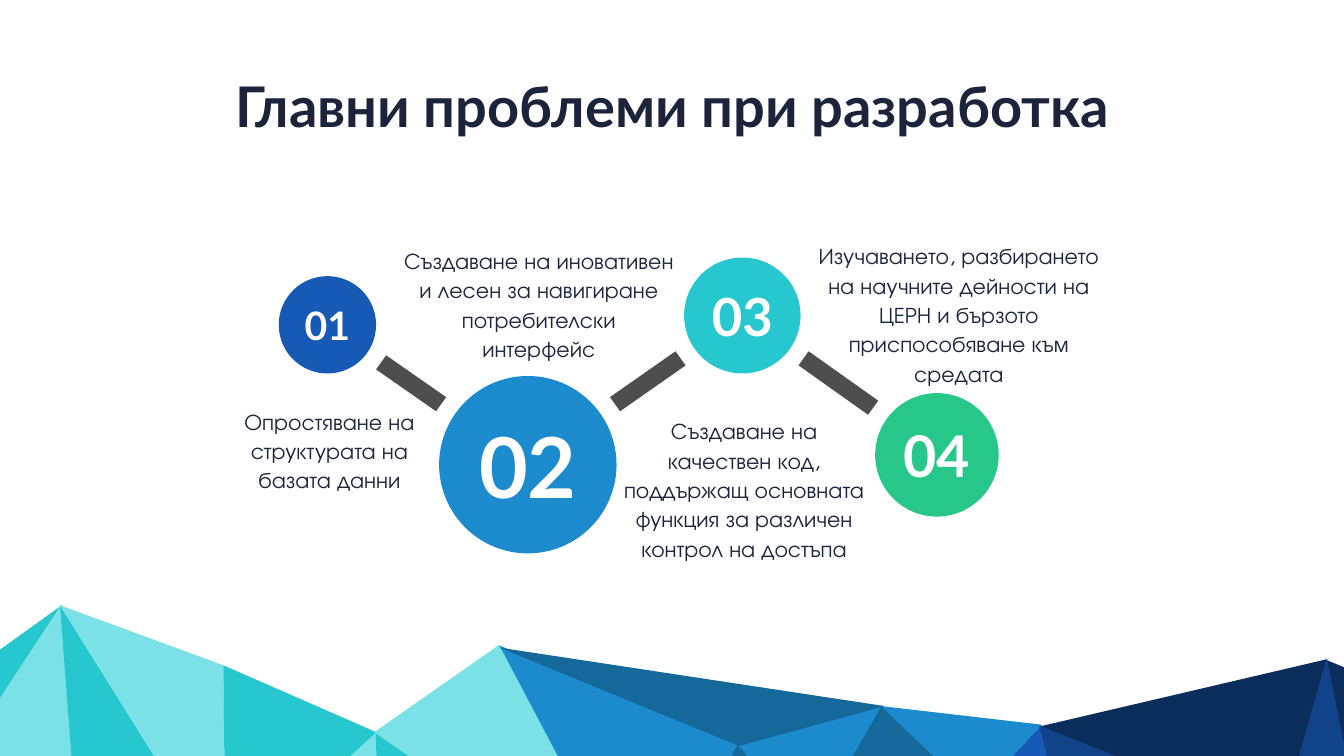
from pptx import Presentation
from pptx.dml.color import RGBColor
from pptx.enum.shapes import MSO_SHAPE
from pptx.enum.text import MSO_ANCHOR, PP_ALIGN
from pptx.util import Pt

EMU_PER_PX = 9144
SLIDE_WIDTH, SLIDE_HEIGHT = 2666, 1500

INK = RGBColor(0x1B, 0x24, 0x3B)
WHITE = RGBColor(0xFF, 0xFF, 0xFF)
GREY = RGBColor(0x4E, 0x4E, 0x4E)
TEAL = RGBColor(0x27, 0xC7, 0xCF)
PALE_TEAL = RGBColor(0x7A, 0xE1, 0xE6)
SKY = RGBColor(0x1B, 0x8B, 0xCD)
DEEP_SKY = RGBColor(0x14, 0x68, 0x9A)
BLUE = RGBColor(0x16, 0x5A, 0xB6)
DEEP_BLUE = RGBColor(0x10, 0x43, 0x89)
NAVY = RGBColor(0x0B, 0x2D, 0x5B)
GREEN = RGBColor(0x27, 0xC7, 0x8A)

TITLE_FONT = "Lato"
BODY_FONT = "TeX Gyre Adventor"

FACETS = [
    (TEAL, [(124, 0), (0, 89), (0, 188)]),
    (PALE_TEAL, [(157, 464), (121, 1), (-2, 188), (-2, 464)]),
    (TEAL, [(408, 464), (119, 1), (154, 464)]),
    (PALE_TEAL, [(447, 464), (443, 120), (119, 1), (408, 464)]),
    (TEAL, [(518, 464), (747, 253), (443, 120), (447, 464)]),
    (PALE_TEAL, [(755, 464), (747, 253), (518, 464)]),
    (TEAL, [(1052, 464), (745, 253), (753, 464)]),
    (PALE_TEAL, [(1194, 464), (991, 79), (742, 253), (1049, 464)]),
    (SKY, [(1362, 466), (1466, 276), (991, 81), (1194, 466)]),
    (SKY, [(1461, 279), (1610, 447), (1751, 200)]),
    (DEEP_SKY, [(1608, 447), (1935, 380), (1749, 200)]),
    (SKY, [(1748, 201), (1934, 380), (2067, 238)]),
    (BLUE, [(2124, 471), (2065, 240), (1931, 383), (2028, 471)]),
    (NAVY, [(2060, 242), (2540, 433), (2632, 108)]),
    (DEEP_BLUE, [(2441, 471), (2542, 431), (2062, 240), (2121, 471)]),
    (NAVY, [(2681, 130), (2632, 110), (2681, 357)]),
    (DEEP_BLUE, [(2681, 471), (2681, 352), (2632, 106), (2540, 431), (2600, 471)]),
    (DEEP_SKY, [(991, 85), (1755, 201), (1466, 280)]),
    (DEEP_SKY, [(1571, 468), (1612, 446), (1463, 278), (1359, 468)]),
]

LINKS = [
    ((746, 705, 139, 111), False),
    ((1210, 697, 150, 119), True),
    ((1584, 697, 158, 126), False),
]

STEPS = [
    ("01", BLUE, (553, 548, 193, 193), 56, (463, 799, 381, 187),
     "Опростяване на структурата на базата данни"),
    ("02", SKY, (871, 746, 352, 352), 120, (789, 480, 560, 246),
     "Създаване на иновативен и лесен за навигиране потребителски интерфейс"),
    ("03", TEAL, (1357, 511, 231, 230), 75, (1215, 818, 522, 305),
     "Създаване на качествен код, поддържащ основната функция за различен "
     "контрол на достъпа"),
    ("04", GREEN, (1736, 780, 245, 245), 82, (1597, 471, 610, 243),
     "Изучаването, разбирането на научните дейности на ЦЕРН и бързото "
     "приспособяване към средата"),
]


def emu(box):
    """Turn the px lengths of a box into EMU."""
    return [length * EMU_PER_PX for length in box]


def paint(shape, color):
    """Give a shape a flat fill without line or shadow."""
    shape.fill.solid()
    shape.fill.fore_color.rgb = color
    shape.line.fill.background()
    shape.shadow.inherit = False


def add_polygon(slide, box, points, color):
    """Draw a closed outline whose points are relative to the box."""
    left, top = emu(box[:2])
    builder = slide.shapes.build_freeform(*points[0], scale=EMU_PER_PX)
    builder.add_line_segments(points[1:], close=True)
    paint(builder.convert_to_shape(left, top), color)


def write(frame, text, font, size, color, bold=False):
    """Write one centred run into a text frame and return its paragraph."""
    paragraph = frame.paragraphs[0]
    paragraph.alignment = PP_ALIGN.CENTER
    run = paragraph.add_run()
    run.text = text
    run.font.name = font
    run.font.size = Pt(size)
    run.font.bold = bold
    run.font.color.rgb = color
    return paragraph


def add_mountains(slide, box):
    """Draw the faceted mountain range along the bottom."""
    for color, points in FACETS:
        add_polygon(slide, box, points, color)


def add_title(slide, box):
    """Move the title placeholder into its box and fill it."""
    title = slide.shapes.title
    title.left, title.top, title.width, title.height = emu(box)
    title.text_frame.word_wrap = False
    title.text_frame.vertical_anchor = MSO_ANCHOR.TOP
    write(title.text_frame, "Главни проблеми при разработка", TITLE_FONT, 80, INK, True)


def add_link(slide, box, rising):
    """Draw a slanted bar from corner to corner of its box."""
    width, height = box[2:]
    points = [(20, 0), (width, height - 28), (width - 20, height), (0, 28)]
    if rising:
        points = [(width - x, y) for x, y in points]
    add_polygon(slide, box, points, GREY)


def add_circle(slide, box, number, size, color):
    """Draw a numbered circle."""
    circle = slide.shapes.add_shape(MSO_SHAPE.OVAL, *emu(box))
    paint(circle, color)
    frame = circle.text_frame
    frame.word_wrap = False
    frame.vertical_anchor = MSO_ANCHOR.MIDDLE
    frame.margin_left = frame.margin_right = frame.margin_top = frame.margin_bottom = 0
    write(frame, number, TITLE_FONT, size, WHITE, True)


def add_caption(slide, box, text):
    """Add the description that belongs to a circle."""
    frame = slide.shapes.add_textbox(*emu(box)).text_frame
    frame.word_wrap = True
    write(frame, text, BODY_FONT, 32, INK).line_spacing = Pt(42)


def main():
    """Build the slide and save it."""
    presentation = Presentation()
    presentation.slide_width, presentation.slide_height = emu((SLIDE_WIDTH, SLIDE_HEIGHT))
    slide = presentation.slides.add_slide(presentation.slide_layouts[5])
    add_mountains(slide, (0, 1200))
    add_title(slide, (390, 136, 1890, 145))
    for box, rising in LINKS:
        add_link(slide, box, rising)
    for number, color, circle_box, size, caption_box, text in STEPS:
        add_circle(slide, circle_box, number, size, color)
        add_caption(slide, caption_box, text)
    presentation.save("out.pptx")


if __name__ == "__main__":
    main()
